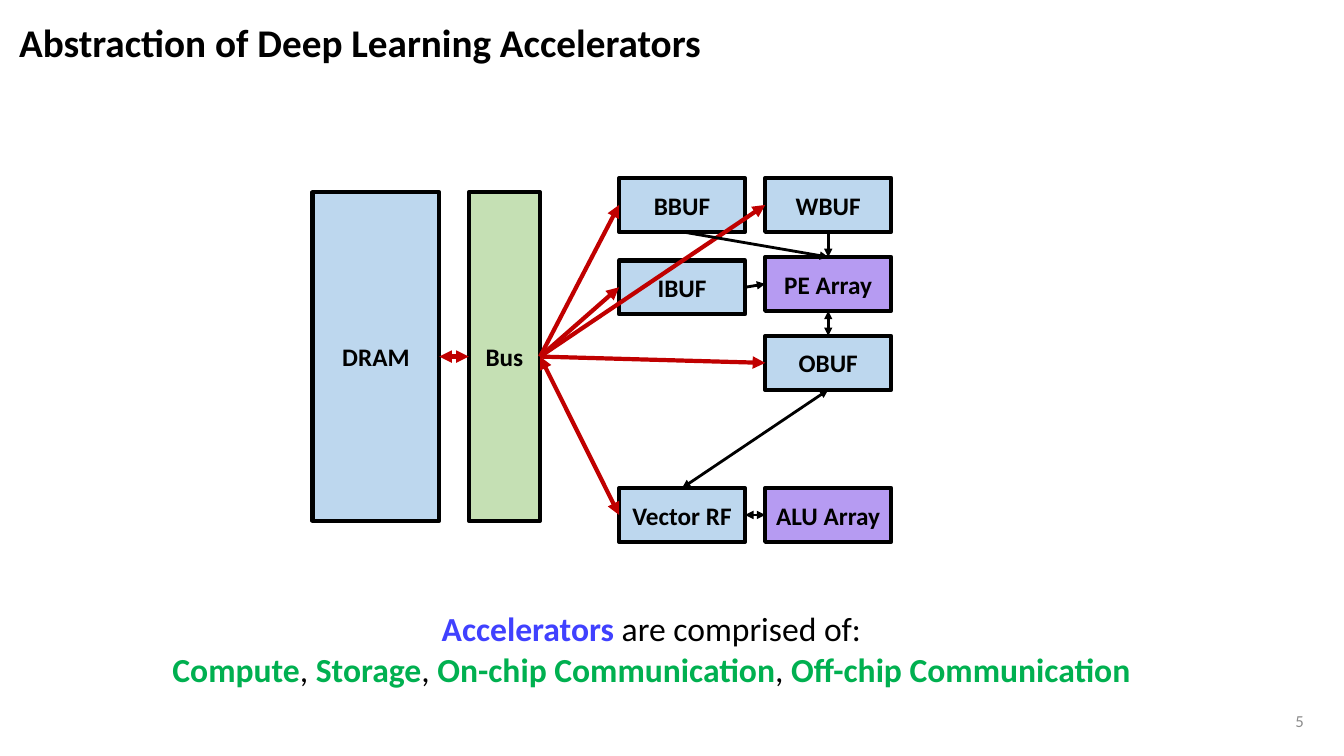
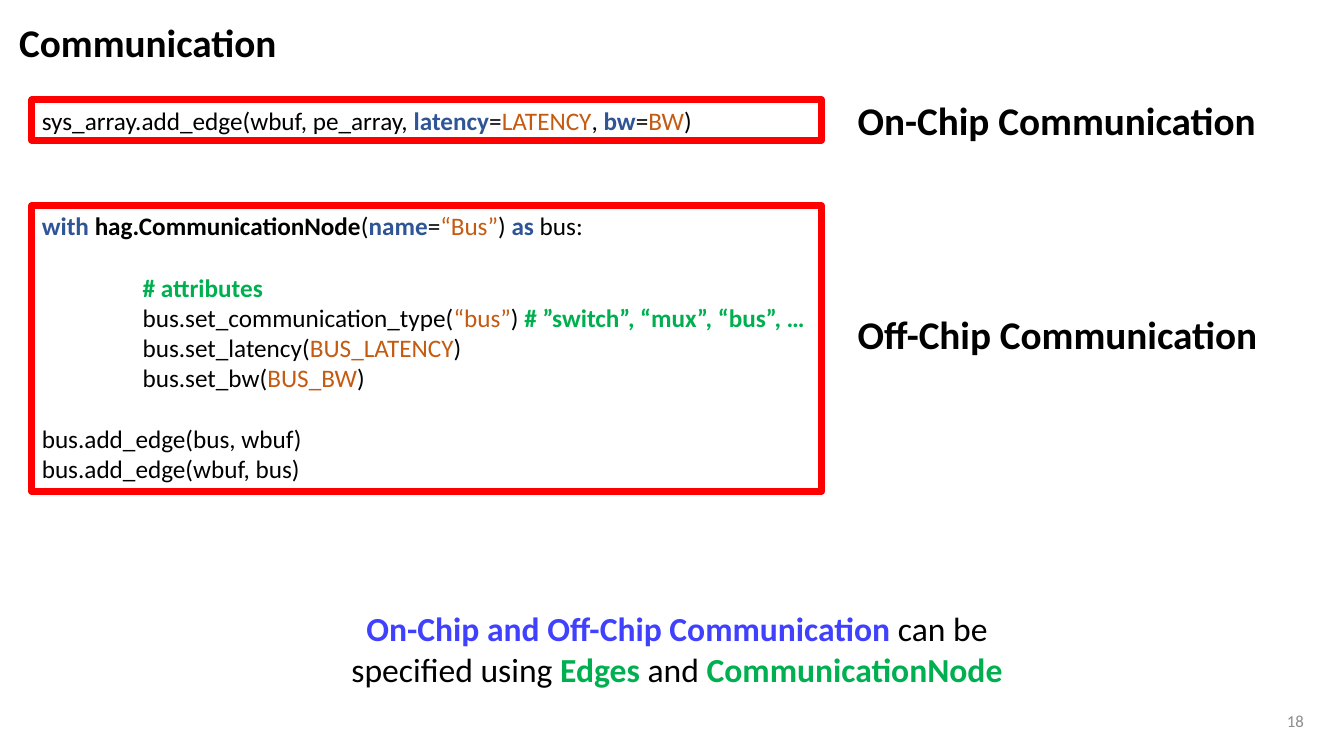
"""Builds two slides on the abstraction and the communication of deep learning accelerators."""
import pptx
import pptx.util
import pptx.dml.color
import pptx.enum.shapes
import pptx.enum.text
import pptx.oxml

COLORS = {
    "black": "000000", "gray": "8C8C8C", "storage": "BDD7EE", "compute": "B69BF2",
    "bus": "C5E0B4", "off_chip": "C00000", "frame": "FF0000", "topic": "4041FF",
    "accent": "00B050", "keyword": "2F5597", "value": "C55A11",
}
BOLD = {"topic", "accent", "keyword", "strong"}
FONT = "Calibri"
ALIGN = pptx.enum.text.PP_ALIGN
MIDDLE = pptx.enum.text.MSO_ANCHOR.MIDDLE
RECTANGLE = pptx.enum.shapes.MSO_SHAPE.RECTANGLE
STRAIGHT = pptx.enum.shapes.MSO_CONNECTOR.STRAIGHT
RGB = pptx.dml.color.RGBColor.from_string

deck = pptx.Presentation()
deck.slide_width = pptx.util.Inches(13.33)
deck.slide_height = pptx.util.Inches(7.5)
COLUMN, ROW = deck.slide_width / 160, deck.slide_height / 90


def cells(left, top, width, height):
    """Turn columns and rows of the grid into lengths."""
    return [round(n * unit) for n, unit in zip((left, top, width, height), (COLUMN, ROW) * 2)]


def write(slide, area, paragraphs, size, align=ALIGN.LEFT, wrap=True):
    """Add a text box whose paragraphs are lists of (text, style) runs."""
    frame = slide.shapes.add_textbox(*cells(*area)).text_frame
    frame.word_wrap = wrap
    for i, runs in enumerate(paragraphs):
        paragraph = frame.add_paragraph() if i else frame.paragraphs[0]
        paragraph.alignment = align
        paragraph.font.name, paragraph.font.size = FONT, pptx.util.Pt(size)
        for text, style in runs:
            run = paragraph.add_run()
            run.text = text
            run.font.bold = style in BOLD
            run.font.color.rgb = RGB(COLORS.get(style, COLORS["black"]))
    return frame


pages = [
    ("Abstraction of Deep Learning Accelerators", "5", (18.7, 71.8, 117.7, 10.9), [
        [("Accelerators", "topic"), (" are comprised of:", "black")],
        [("Compute", "accent"), (", ", "black"), ("Storage", "accent"), (", ", "black"),
         ("On-chip Communication", "accent"), (", ", "black"),
         ("Off-chip Communication", "accent")],
    ]),
    ("Communication", "18", (40.2, 71.8, 80.8, 10.9), [
        [("On-Chip and Off-Chip Communication", "topic"), (" can be", "black")],
        [("specified using ", "black"), ("Edges", "accent"), (" and ", "black"),
         ("CommunicationNode", "accent")],
    ]),
]
slides = []
for title, number, takeaway_area, takeaway in pages:
    slide = deck.slides.add_slide(deck.slide_layouts[6])
    write(slide, (1.1, 1.6, 153, 6.8), [[(title, "strong")]], 28)
    footer = write(slide, (120.4, 83.4, 36, 4.8), [[(number, "gray")]], 12, ALIGN.RIGHT)
    footer.vertical_anchor = MIDDLE
    write(slide, takeaway_area, takeaway, 24, ALIGN.CENTER, wrap=False)
    slides.append(slide)
abstraction, communication = slides

BLOCK_W, BLOCK_H = 15, 6.4
BUFFER_X, ARRAY_X = 73.7, 91.1
TOP_Y, VECTOR_Y, PITCH = 21.2, 58.1, 9.4
blocks = {}
for name, kind, left, top, width, height in [
    ("Bus", "bus", 55.8, 22.9, 8.5, 39.1),
    ("DRAM", "storage", 37.2, 22.9, 15.1, 39.1),
    ("WBUF", "storage", ARRAY_X, TOP_Y, BLOCK_W, BLOCK_H),
    ("OBUF", "storage", ARRAY_X, TOP_Y + 2 * PITCH, BLOCK_W, BLOCK_H),
    ("IBUF", "storage", BUFFER_X, 31, BLOCK_W, BLOCK_H),
    ("BBUF", "storage", BUFFER_X, TOP_Y, BLOCK_W, BLOCK_H),
    ("PE Array", "compute", ARRAY_X, TOP_Y + PITCH, BLOCK_W, BLOCK_H),
    ("ALU Array", "compute", ARRAY_X, VECTOR_Y, BLOCK_W, BLOCK_H),
    ("Vector RF", "storage", BUFFER_X, VECTOR_Y, BLOCK_W, BLOCK_H),
]:
    block = abstraction.shapes.add_shape(RECTANGLE, *cells(left, top, width, height))
    block.shadow.inherit = False
    block.fill.solid()
    block.fill.fore_color.rgb = RGB(COLORS[kind])
    block.line.color.rgb = RGB(COLORS["black"])
    block.line.width = pptx.util.Pt(3)
    block.text_frame.word_wrap = False
    block.text_frame.vertical_anchor = MIDDLE
    label = block.text_frame.paragraphs[0]
    label.text = name
    label.alignment = ALIGN.CENTER
    label.font.name, label.font.size, label.font.bold = FONT, pptx.util.Pt(18), True
    label.font.color.rgb = RGB(COLORS["black"])
    blocks[name] = block

TOP, LEFT, BOTTOM, RIGHT = range(4)
for source, source_side, target, target_side, color, width, ends in [
    ("Bus", LEFT, "DRAM", RIGHT, "off_chip", 3, ("head", "tail")),
    ("BBUF", LEFT, "Bus", RIGHT, "off_chip", 3, ("head",)),
    ("WBUF", LEFT, "Bus", RIGHT, "off_chip", 3, ("head",)),
    ("OBUF", LEFT, "Bus", RIGHT, "off_chip", 3, ("head",)),
    ("Vector RF", LEFT, "Bus", RIGHT, "off_chip", 3, ("head", "tail")),
    ("IBUF", LEFT, "Bus", RIGHT, "off_chip", 3, ("head",)),
    ("OBUF", BOTTOM, "Vector RF", TOP, "black", 2, ("head", "tail")),
    ("ALU Array", LEFT, "Vector RF", RIGHT, "black", 2, ("head", "tail")),
    ("PE Array", BOTTOM, "OBUF", TOP, "black", 2, ("head", "tail")),
    ("WBUF", BOTTOM, "PE Array", TOP, "black", 2, ("tail",)),
    ("BBUF", BOTTOM, "PE Array", TOP, "black", 2, ("tail",)),
    ("IBUF", RIGHT, "PE Array", LEFT, "black", 2, ("tail",)),
]:
    link = abstraction.shapes.add_connector(STRAIGHT, 0, 0, 0, 0)
    link.begin_connect(blocks[source], source_side)
    link.end_connect(blocks[target], target_side)
    link.line.color.rgb = RGB(COLORS[color])
    link.line.width = pptx.util.Pt(width)
    outline = link.line._get_or_add_ln()
    for end in ends:
        arrowhead = pptx.oxml.xmlchemy.OxmlElement(f"a:{end}End")
        arrowhead.set("type", "triangle")
        outline.append(arrowhead)
    link._element.spPr.append(pptx.oxml.xmlchemy.OxmlElement("a:effectLst"))

edge_code = [[
    ("sys_array.add_edge(wbuf, pe_array, ", "black"), ("latency", "keyword"), ("=", "black"),
    ("LATENCY", "value"), (", ", "black"), ("bw", "keyword"), ("=", "black"),
    ("BW", "value"), (")", "black"),
]]
bus_code = [
    [("with ", "keyword"), ("hag.CommunicationNode", "strong"), ("(", "black"),
     ("name", "keyword"), ("=", "black"), ("“Bus”", "value"), (") ", "black"),
     ("as", "keyword"), (" bus:", "black")],
    [("# attributes", "accent")],
    [("bus.set_communication_type(", "black"), ("“bus”", "value"), (") ", "black"),
     ("# ”switch”, “mux”, “bus”, …", "accent")],
    [("bus.set_latency(", "black"), ("BUS_LATENCY", "value"), (")", "black")],
    [("bus.set_bw(", "black"), ("BUS_BW", "value"), (")", "black")],
    [("bus.add_edge(bus, wbuf)", "black")],
    [("bus.add_edge(wbuf, bus)", "black")],
]
CODE_X, FRAME_W = 3.8, 94
for heading, heading_y, code, top, width, height in [
    ("On-Chip Communication", 11, edge_code, 11.9, 135.5, 4.8),
    ("Off-Chip Communication", 36.4, bus_code, 24.5, 97.8, 34),
]:
    listing = write(communication, (CODE_X, top, width, height), code, 18)
    for attribute in listing.paragraphs[1:5]:
        attribute._p.get_or_add_pPr().set("marL", str(round(12 * COLUMN)))
    for opening in listing.paragraphs[1::4]:
        opening.space_before = pptx.util.Pt(22)
    border = communication.shapes.add_shape(RECTANGLE, *cells(CODE_X, top, FRAME_W, height))
    border.shadow.inherit = False
    border.fill.background()
    border.line.color.rgb = RGB(COLORS["frame"])
    border.line.width = pptx.util.Pt(5)
    caption = write(communication, (101.6, heading_y, 58.1, 6.6), [[(heading, "strong")]], 28)
    caption.vertical_anchor = MIDDLE
    caption.margin_left = caption.margin_right = round(COLUMN / 2)
    caption.margin_top = caption.margin_bottom = round(ROW / 2)

deck.save("out.pptx")
